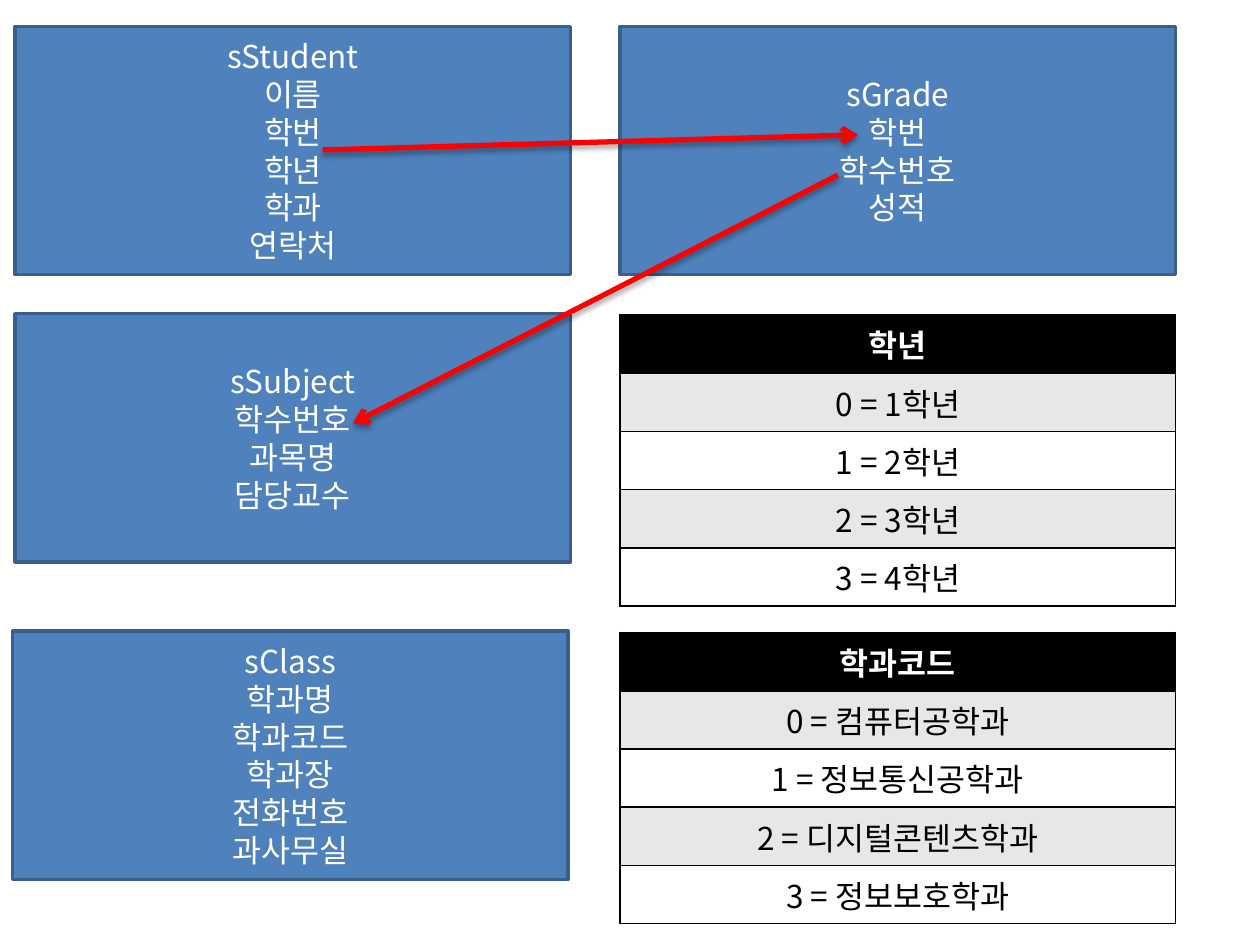
import pptx
import pptx.dml.color
import pptx.enum.shapes
import pptx.enum.text
import pptx.oxml
import pptx.oxml.ns
import pptx.util
from pptx.util import Inches

FONT = "Noto Sans CJK KR"
DRAWING_NS = pptx.oxml.ns.nsdecls("a")


def rgb(hex_code):
    return pptx.dml.color.RGBColor.from_string(hex_code)


def write_line(paragraph, text, color, bold=False):
    """Add one centred 18 pt run, with the font set for Latin and Korean."""
    paragraph.alignment = pptx.enum.text.PP_ALIGN.CENTER
    run = paragraph.add_run()
    run.text = text
    run.font.size = pptx.util.Pt(18)
    run.font.name = FONT
    run.font.bold = bold
    run.font.color.rgb = rgb(color)
    run.font._element.append(
        pptx.oxml.parse_xml(f'<a:ea {DRAWING_NS} typeface="{FONT}"/>'))


presentation = pptx.Presentation()
presentation.slide_width = Inches(10)
presentation.slide_height = Inches(7.5)
slide = presentation.slides.add_slide(presentation.slide_layouts[6])

# Entities: left, top, name and fields
entities = [
    (0.12, 0.21, ["sStudent", "이름", "학번", "학년", "학과", "연락처"]),
    (4.92, 0.21, ["sGrade", "학번", "학수번호", "성적"]),
    (0.12, 2.49, ["sSubject", "학수번호", "과목명", "담당교수"]),
    (0.1, 5.01, ["sClass", "학과명", "학과코드", "학과장", "전화번호", "과사무실"]),
]
for left, top, lines in entities:
    entity = slide.shapes.add_shape(
        pptx.enum.shapes.MSO_SHAPE.RECTANGLE,
        Inches(left), Inches(top), Inches(4.41), Inches(1.97))
    entity.shadow.inherit = False
    entity.fill.solid()
    entity.fill.fore_color.rgb = rgb("4F81BD")
    entity.line.color.rgb = rgb("3A5F8C")
    entity.line.width = pptx.util.Pt(2)
    frame = entity.text_frame
    frame.word_wrap = True
    frame.vertical_anchor = pptx.enum.text.MSO_ANCHOR.MIDDLE
    for index, text in enumerate(lines):
        paragraph = frame.add_paragraph() if index else frame.paragraphs[0]
        write_line(paragraph, text, "FFFFFF")

# Relations between key fields
relations = [(6.65, 1.39, 2.8, 3.36), (2.56, 1.19, 6.81, 1.07)]
for ends in relations:
    relation = slide.shapes.add_connector(
        pptx.enum.shapes.MSO_CONNECTOR.STRAIGHT, *map(Inches, ends))
    relation.line.color.rgb = rgb("FF0000")
    relation.line.width = pptx.util.Pt(3)
    relation.line._get_or_add_ln().append(
        pptx.oxml.parse_xml(f'<a:tailEnd {DRAWING_NS} type="arrow"/>'))
    relation._element.spPr.append(pptx.oxml.parse_xml(
        f'<a:effectLst {DRAWING_NS}>'
        f'<a:outerShdw blurRad="{pptx.util.Pt(3.1)}" dist="{pptx.util.Pt(1.8)}" '
        'dir="5400000" rotWithShape="0">'
        '<a:srgbClr val="000000"><a:alpha val="35000"/></a:srgbClr>'
        '</a:outerShdw></a:effectLst>'))

# Code tables: top, header and the meanings of codes 0 to 3
code_tables = [
    (2.5, "학년", ["1학년", "2학년", "3학년", "4학년"]),
    (5.02, "학과코드", ["컴퓨터공학과", "정보통신공학과", "디지털콘텐츠학과", "정보보호학과"]),
]
ROW_HEIGHT = 0.46
for top, header, meanings in code_tables:
    rows = [header] + [f"{code} = {meaning}" for code, meaning in enumerate(meanings)]
    table = slide.shapes.add_table(
        len(rows), 1, Inches(4.92), Inches(top),
        Inches(4.41), Inches(ROW_HEIGHT * len(rows))).table
    for index, text in enumerate(rows):
        is_header = index == 0
        table.rows[index].height = Inches(ROW_HEIGHT)
        cell = table.cell(index, 0)
        cell.fill.solid()
        cell.fill.fore_color.rgb = rgb(
            "000000" if is_header else "E7E7E7" if index % 2 else "FFFFFF")
        write_line(cell.text_frame.paragraphs[0], text,
                   "FFFFFF" if is_header else "000000", bold=is_header)
        for position, side in enumerate(["lnL", "lnR", "lnT", "lnB"]):
            cell._tc.get_or_add_tcPr().insert(position, pptx.oxml.parse_xml(
                f'<a:{side} {DRAWING_NS} w="{pptx.util.Pt(1)}"><a:solidFill>'
                f'<a:srgbClr val="000000"/></a:solidFill></a:{side}>'))

presentation.save("out.pptx")
